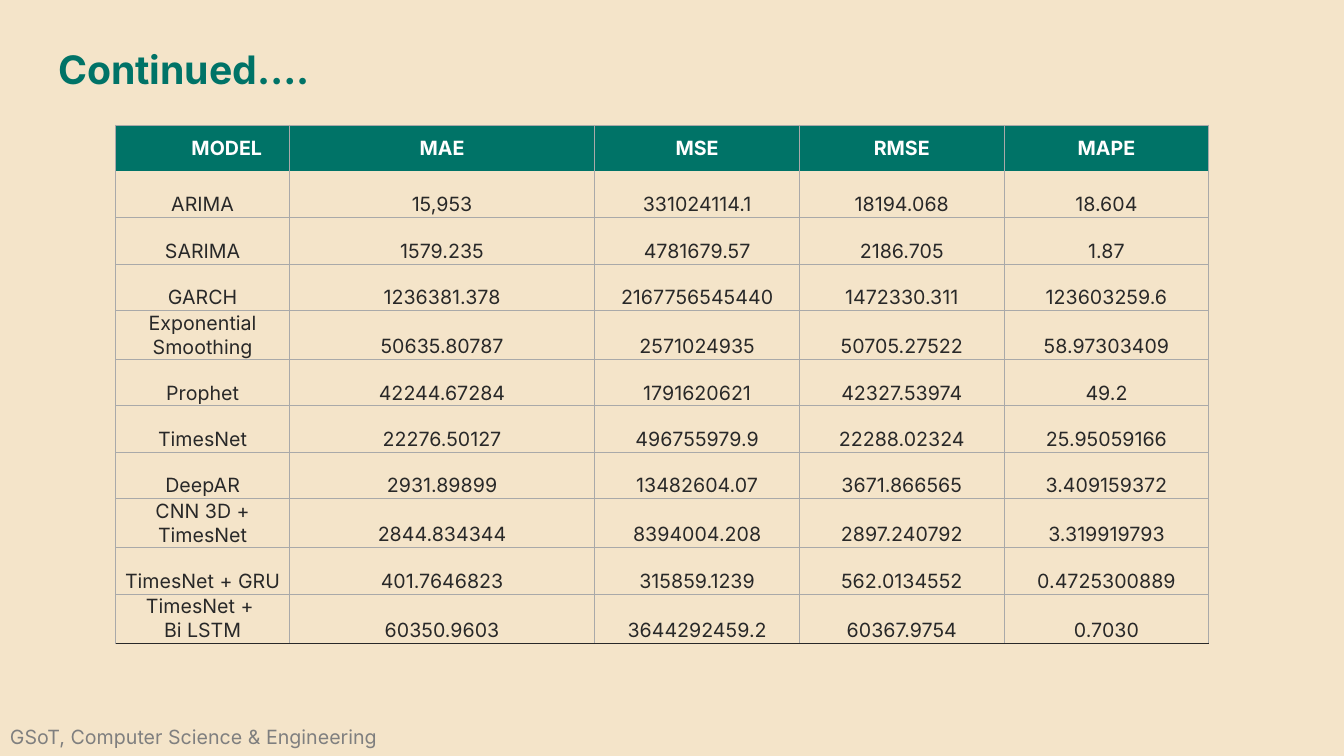
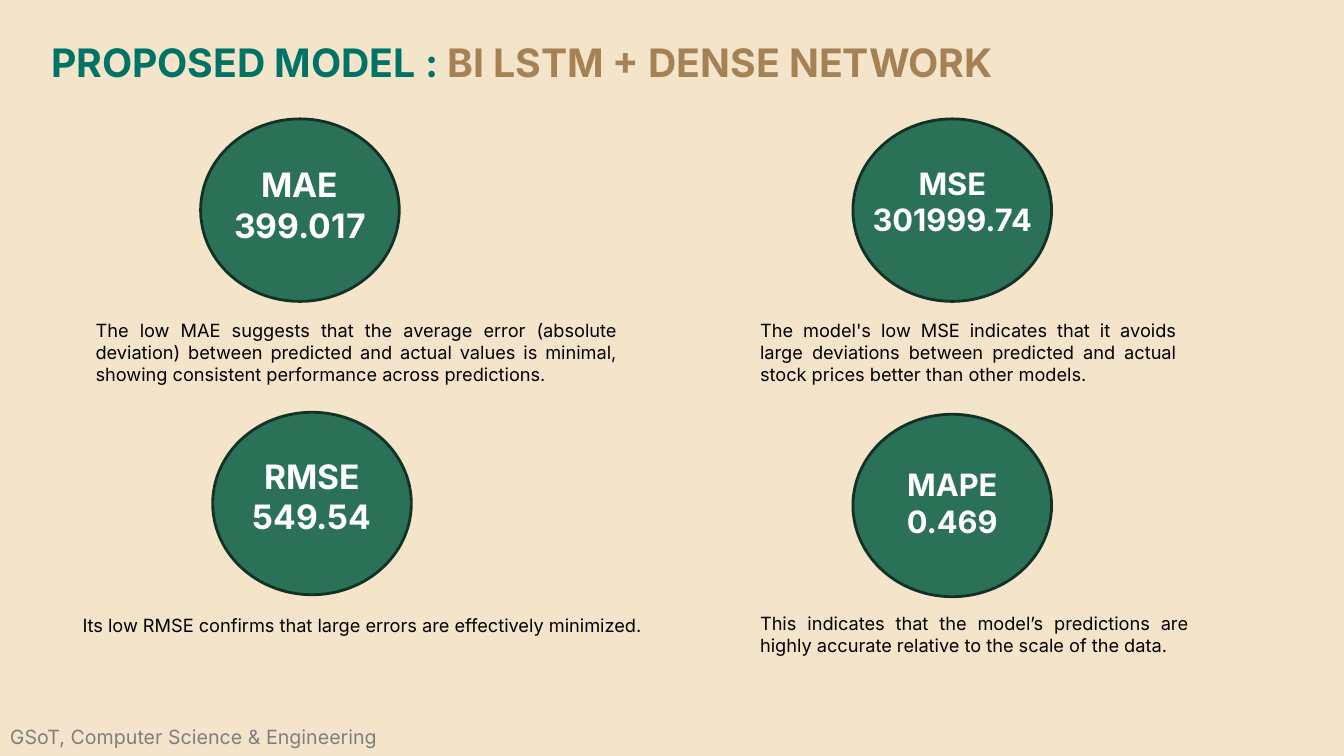
"""Build two slides on forecast errors: a model table and four metric discs."""
from dataclasses import dataclass

from lxml import etree
from pptx import Presentation
from pptx import util as u
from pptx.dml.color import RGBColor
from pptx.enum import shapes, text
from pptx.oxml.ns import qn

SCALE = u.Inches(1) // 100
FONT = "Inter"
CREAM = RGBColor(0xF4, 0xE4, 0xC9)
TEAL = RGBColor(0x00, 0x73, 0x67)
TAN = RGBColor(0xA5, 0x82, 0x55)
GREEN = RGBColor(0x2B, 0x71, 0x58)
DARK = RGBColor(0x13, 0x32, 0x27)
INK = RGBColor(0x28, 0x28, 0x28)
RULE = RGBColor(0xA9, 0xA9, 0xA9)
GRAY = RGBColor(0x7F, 0x7F, 0x7F)
BLACK = RGBColor(0, 0, 0)
WHITE = RGBColor(0xFF, 0xFF, 0xFF)
LEFT, MID, JUST = text.PP_ALIGN.LEFT, text.PP_ALIGN.CENTER, text.PP_ALIGN.JUSTIFY

WIDE, TALL = 1333, 750
DISC_W, DISC_H = 197, 181
COLS = (172, 303, 203, 203, 203)
ROW_H = 46

HEAD = ("MODEL", "MAE", "MSE", "RMSE", "MAPE")
ROWS = (
    ("ARIMA", "15,953", "331024114.1", "18194.068", "18.604"),
    ("SARIMA", "1579.235", "4781679.57", "2186.705", "1.87"),
    ("GARCH", "1236381.378", "2167756545440", "1472330.311", "123603259.6"),
    ("Exponential Smoothing", "50635.80787", "2571024935", "50705.27522", "58.97303409"),
    ("Prophet", "42244.67284", "1791620621", "42327.53974", "49.2"),
    ("TimesNet", "22276.50127", "496755979.9", "22288.02324", "25.95059166"),
    ("DeepAR", "2931.89899", "13482604.07", "3671.866565", "3.409159372"),
    ("CNN 3D + TimesNet", "2844.834344", "8394004.208", "2897.240792", "3.319919793"),
    ("TimesNet + GRU", "401.7646823", "315859.1239", "562.0134552", "0.4725300889"),
    ("TimesNet + \nBi LSTM", "60350.9603", "3644292459.2", "60367.9754", "0.7030"),
)


@dataclass
class Box:
    x: int
    y: int
    w: int
    h: int


@dataclass
class Metric:
    name: str
    value: str
    x: int
    y: int
    top: int
    size: int
    note: str
    area: Box
    align: text.PP_ALIGN = JUST


METRICS = (
    Metric("MAE", "399.017", 199, 118, 158, 24,
           "The low MAE suggests that the average error (absolute deviation) between "
           "predicted and actual values is minimal, showing consistent performance "
           "across predictions.", Box(85, 312, 536, 98)),
    Metric("MSE", "301999.74", 846, 118, 158, 22,
           "The model's low MSE indicates that it avoids large deviations between "
           "predicted and actual stock prices better than other models.",
           Box(744, 312, 432, 76)),
    Metric("RMSE", "549.54", 211, 409, 447, 24,
           "Its low RMSE confirms that large errors are effectively minimized.",
           Box(72, 604, 595, 32), LEFT),
    Metric("MAPE", "0.469", 846, 411, 457, 22,
           "This indicates that the model’s predictions are highly accurate relative "
           "to the scale of the data.", Box(744, 603, 444, 54)),
)


def px(n: int) -> u.Emu:
    """Turn px into EMU."""
    return u.Emu(n * SCALE)


def place(box: Box) -> tuple:
    """Give the box as four EMU lengths."""
    return px(box.x), px(box.y), px(box.w), px(box.h)


def write(frame, *runs, size=14, color=BLACK, bold=False, align=LEFT, space=None) -> None:
    """Write runs, strings or (string, colour) pairs; a line break starts a paragraph."""
    frame.word_wrap = True
    para = frame.paragraphs[0]
    for item in runs:
        words, tint = (item, color) if isinstance(item, str) else item
        for i, line in enumerate(words.split("\n")):
            if i:
                para = frame.add_paragraph()
            para.alignment = align
            if space:
                para.line_spacing = space
            run = para.add_run()
            run.text = line
            font = run.font
            font.name, font.size, font.bold = FONT, u.Pt(size), bold
            font.color.rgb = tint


def label(slide, box: Box, *runs, **style) -> None:
    """Add a text box."""
    write(slide.shapes.add_textbox(*place(box)).text_frame, *runs, **style)


def title(slide, box: Box, *runs, **style) -> None:
    """Add a slide title."""
    label(slide, box, *runs, size=28, color=TEAL, bold=True, **style)


def start(deck):
    """Add a blank slide with the footer."""
    slide = deck.slides.add_slide(deck.slide_layouts[6])
    label(slide, Box(0, 714, 524, 34), "GSoT, Computer Science & Engineering", color=GRAY)
    return slide


def edge(cell, **sides) -> None:
    """Set cell borders; a side is (colour, points) or None."""
    props = cell._tc.get_or_add_tcPr()
    for i, side in enumerate("LRTB"):
        line = etree.Element(qn(f"a:ln{side}"))
        props.insert(i, line)
        if sides.get(side):
            color, width = sides[side]
            line.set("w", str(u.Pt(width)))
            fill = etree.SubElement(line, qn("a:solidFill"))
            etree.SubElement(fill, qn("a:srgbClr")).set("val", str(color))
        else:
            etree.SubElement(line, qn("a:noFill"))


def pad(cell, left: int, top: int, right: int, low: int) -> None:
    """Set cell margins."""
    cell.margin_left, cell.margin_top = px(left), px(top)
    cell.margin_right, cell.margin_bottom = px(right), px(low)


def scores(slide) -> None:
    """Draw the table of model errors."""
    data = (HEAD, *ROWS)
    box = Box(115, 124, sum(COLS), ROW_H * len(data))
    table = slide.shapes.add_table(len(data), len(COLS), *place(box)).table
    table.first_row = table.horz_banding = False
    for col, width in zip(table.columns, COLS):
        col.width = px(width)
    thin = (RULE, 0.75)
    for r, row in enumerate(data):
        table.rows[r].height = px(ROW_H)
        head, last = r == 0, r == len(data) - 1
        for c, words in enumerate(row):
            cell = table.cell(r, c)
            cell.fill.solid()
            cell.fill.fore_color.rgb = TEAL if head else CREAM
            if head:
                pad(cell, *((12, 6, 12, 6) if c else (48, 0, 0, 0)))
                cell.vertical_anchor = text.MSO_ANCHOR.MIDDLE
                edge(cell, L=thin, R=thin, T=thin)
            else:
                pad(cell, 2, 1, 2, 1)
                cell.vertical_anchor = text.MSO_ANCHOR.BOTTOM
                edge(cell, L=thin, R=thin, T=thin if r > 1 else None,
                     B=(INK, 1) if last else thin)
            write(cell.text_frame, words, color=WHITE if head else INK,
                  bold=head, align=MID)


def disc(slide, item: Metric) -> None:
    """Draw a metric disc with its note."""
    box = Box(item.x, item.y, DISC_W, DISC_H)
    oval = slide.shapes.add_shape(shapes.MSO_SHAPE.OVAL, *place(box))
    oval.shadow.inherit = False
    oval.fill.solid()
    oval.fill.fore_color.rgb = GREEN
    oval.line.color.rgb = DARK
    oval.line.width = u.Pt(2)
    label(slide, Box(item.x, item.top, DISC_W, 91), f"{item.name}\n{item.value}",
          size=item.size, color=WHITE, bold=True, align=MID)
    label(slide, item.area, item.note, size=13, align=item.align)


def main() -> None:
    """Build and save the deck."""
    deck = Presentation()
    deck.slide_width, deck.slide_height = px(WIDE), px(TALL)
    back = deck.slide_master.background.fill
    back.solid()
    back.fore_color.rgb = CREAM

    slide = start(deck)
    title(slide, Box(48, 45, 1095, 43), "Continued….", space=0.9)
    scores(slide)

    slide = start(deck)
    title(slide, Box(41, 33, 1087, 57), "PROPOSED MODEL : ",
          ("BI LSTM + DENSE NETWORK", TAN))
    for item in METRICS:
        disc(slide, item)

    deck.save("out.pptx")


if __name__ == "__main__":
    main()
